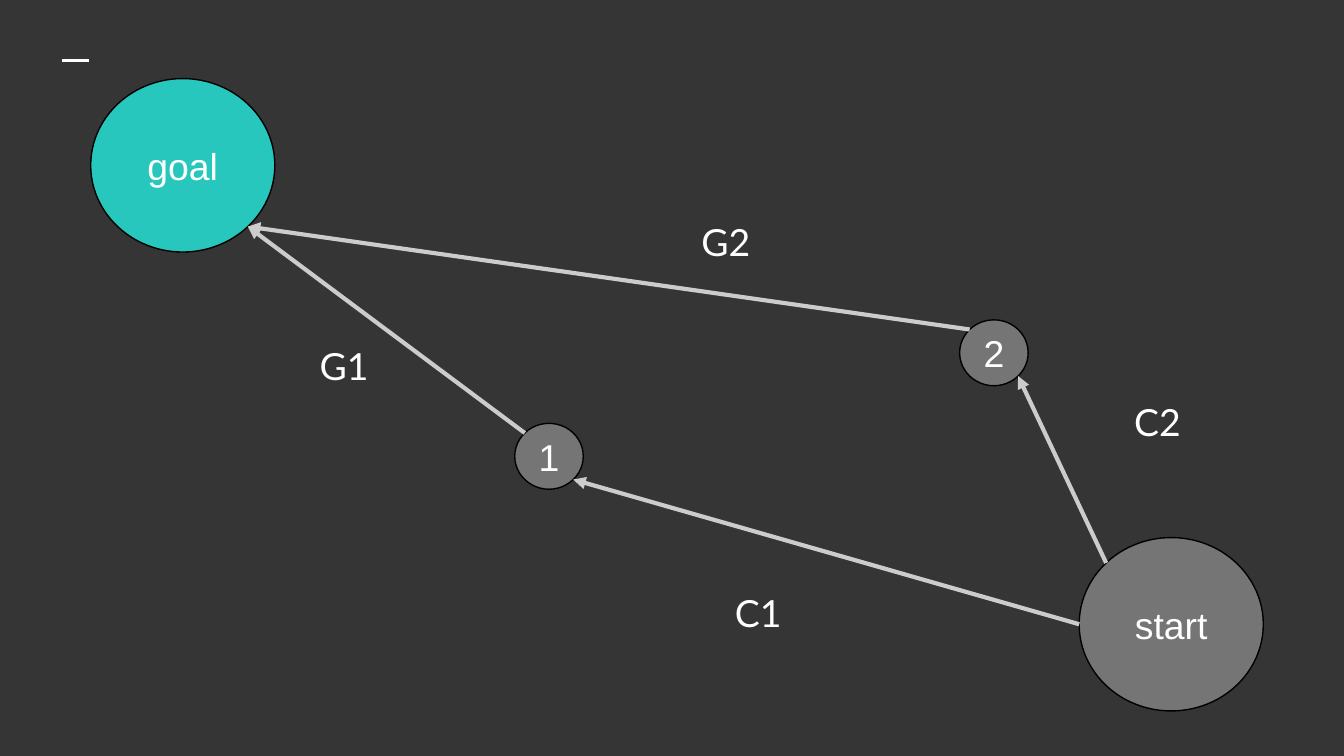
from math import cos, radians, sin

from lxml import etree
from pptx import Presentation
from pptx.dml.color import RGBColor as RGB
from pptx.enum.shapes import MSO_CONNECTOR as CXN, MSO_SHAPE as SHAPE
from pptx.enum.text import MSO_ANCHOR as ANCHOR, PP_ALIGN as ALIGN
from pptx.oxml.ns import qn
from pptx.util import Pt

PX = 4572  # EMU per px, 200 px to the inch
THEME = {
    "bg": RGB(0x35, 0x35, 0x35),
    "text": RGB(0xFF, 0xFF, 0xFF),
    "node": RGB(0x75, 0x75, 0x75),
    "goal": RGB(0x27, 0xC7, 0xBD),
    "outline": RGB(0, 0, 0),
    "arrow": RGB(0xCC, 0xCC, 0xCC),
    "size": Pt(20),
    "node_font": "Arial",
    "label_font": "Lato",
}


def write(sp, text, font, align=ALIGN.LEFT, anchor=ANCHOR.TOP):
    tf = sp.text_frame
    tf.word_wrap = True
    tf.vertical_anchor = anchor
    tf.margin_left = tf.margin_right = tf.margin_top = tf.margin_bottom = 20 * PX
    p = tf.paragraphs[0]
    p.alignment = align
    r = p.add_run()
    r.text = text
    r.font.name = font
    r.font.size = THEME["size"]
    r.font.color.rgb = THEME["text"]


def draw_line(x1, y1, x2, y2, color, width, arrow=False):
    ends = [round(v * PX) for v in (x1, y1, x2, y2)]
    c = s.shapes.add_connector(CXN.STRAIGHT, *ends)
    c.line.color.rgb = color
    c.line.width = Pt(width)
    if arrow:
        etree.SubElement(c.line._get_or_add_ln(), qn("a:tailEnd"), type="triangle")
    etree.SubElement(c._element.spPr, qn("a:effectLst"))


prs = Presentation()
prs.slide_width, prs.slide_height = 2000 * PX, 1125 * PX
s = prs.slides.add_slide(prs.slide_layouts[6])
s.background.fill.solid()
s.background.fill.fore_color.rgb = THEME["bg"]

# Short accent line at top left
draw_line(93, 90, 133, 90, THEME["text"], 1.5)

# Nodes: left, top, width, height
nodes = {
    "start": (1606, 800, 274, 258),
    "goal": (135, 117, 274, 258),
    "2": (1428, 476, 102, 98),
    "1": (766, 630, 102, 98),
}
for name, box in nodes.items():
    sp = s.shapes.add_shape(SHAPE.OVAL, *[v * PX for v in box])
    sp.shadow.inherit = False
    sp.fill.solid()
    sp.fill.fore_color.rgb = THEME["goal" if name == "goal" else "node"]
    sp.line.color.rgb = THEME["outline"]
    sp.line.width = Pt(0.75)
    write(sp, name, THEME["node_font"], align=ALIGN.CENTER, anchor=ANCHOR.MIDDLE)

# Arrows: each end is a node and the clockwise angle from its right side
arrows = [
    (("1", 225), ("goal", 45)),
    (("2", 225), ("goal", 45)),
    (("start", 225), ("2", 45)),
    (("start", 180), ("1", 45)),
]
for ends in arrows:
    points = []
    for name, angle in ends:
        x, y, w, h = nodes[name]
        a = radians(angle)
        points += [x + w / 2 * (1 + cos(a)), y + h / 2 * (1 + sin(a))]
    draw_line(*points, THEME["arrow"], 2.25, arrow=True)

# Cost labels beside the arrows
for text, x, y in [("G1", 456, 490), ("G2", 1024, 306), ("C1", 1074, 858), ("C2", 1668, 574)]:
    sp = s.shapes.add_textbox(x * PX, y * PX, 192 * PX, 108 * PX)
    write(sp, text, THEME["label_font"])

prs.save("out.pptx")
